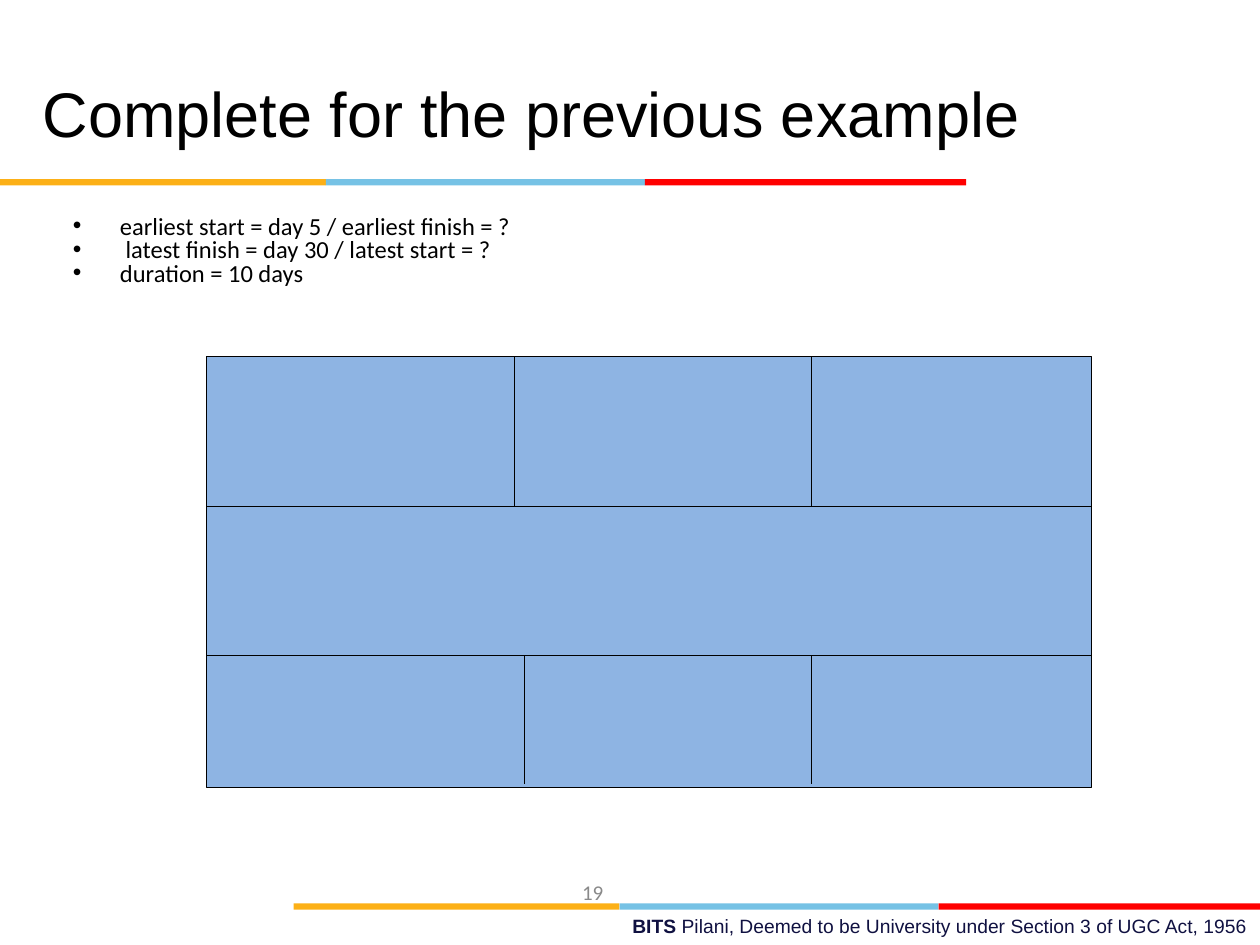
from dataclasses import dataclass

from lxml import etree
from pptx import Presentation, util as u
from pptx.dml.color import RGBColor
from pptx.enum import shapes, text
from pptx.oxml import ns


@dataclass(frozen=True)
class Theme:
    black: str = "000000"
    navy: str = "101141"
    grey: str = "898989"
    box_blue: str = "8EB4E3"
    stripe: tuple = ("FCB017", "76C2E5", "FF0000")
    heading_font: str = "Arial"
    body_font: str = "Calibri"
    title_size: int = 36
    body_size: int = 14
    number_size: int = 12
    footer_size: int = 11


THEME = Theme()


def add_text_box(slide, box, **frame_format):
    frame = slide.shapes.add_textbox(*map(u.Cm, box)).text_frame
    for name, value in {"word_wrap": True, **frame_format}.items():
        setattr(frame, name, value)
    return frame


def add_run(paragraph, words, color, **font_format):
    run = paragraph.add_run()
    run.text = words
    run.font.color.rgb = RGBColor.from_string(color)
    for name, value in font_format.items():
        setattr(run.font, name, value)


def add_rectangle(slide, box, color):
    shape = slide.shapes.add_shape(shapes.MSO_SHAPE.RECTANGLE, *map(u.Cm, box))
    shape.shadow.inherit = False
    shape.fill.solid()
    shape.fill.fore_color.rgb = RGBColor.from_string(color)
    shape.line.fill.background()
    return shape


def format_line(line):
    line.color.rgb = RGBColor.from_string(THEME.black)
    line.width = u.Pt(0.75)


def add_line(slide, start, end):
    connector = slide.shapes.add_connector(
        shapes.MSO_CONNECTOR.STRAIGHT, *map(u.Cm, start + end))
    format_line(connector.line)
    etree.SubElement(connector._element.spPr, ns.qn("a:effectLst"))


def add_bullet(paragraph):
    properties = paragraph._p.get_or_add_pPr()
    indent = u.Cm(0.95)
    properties.set("marL", str(indent))
    properties.set("indent", str(-indent))
    color = etree.SubElement(properties, ns.qn("a:buClr"))
    etree.SubElement(color, ns.qn("a:srgbClr"), val=THEME.black)
    etree.SubElement(properties, ns.qn("a:buFont"), typeface="Arial")
    etree.SubElement(properties, ns.qn("a:buChar"), char="•")


def add_stripe(slide, left, top):
    """Three coloured bars, end to end."""
    for color, width in zip(THEME.stripe, (6.57, 6.43, 6.48)):
        add_rectangle(slide, (left, top, width, 0.13), color)
        left += width


def add_title(slide, box):
    paragraph = add_text_box(slide, box).paragraphs[0]
    add_run(paragraph, "Complete for the previous example", THEME.black,
            name=THEME.heading_font, size=u.Pt(THEME.title_size))


def add_bullets(slide, box, items):
    frame = add_text_box(slide, box)
    for index, item in enumerate(items):
        paragraph = frame.add_paragraph() if index else frame.paragraphs[0]
        paragraph.line_spacing = 0.8
        add_bullet(paragraph)
        add_run(paragraph, item, THEME.black,
                name=THEME.body_font, size=u.Pt(THEME.body_size))


def add_activity_box(slide, box):
    """Activity node: three cells, one wide cell, three cells."""
    left, top, width, height = box
    format_line(add_rectangle(slide, box, THEME.box_blue).line)
    upper, lower, foot = top + 3.02, top + 6.02, top + height - 0.08
    for y in (upper, lower):
        add_line(slide, (left, y), (left + width, y))
    for start, end, offsets in ((top, upper, (6.2, 12.19)),
                                (lower, foot, (6.4, 12.19))):
        for offset in offsets:
            add_line(slide, (left + offset, start), (left + offset, end))


def add_footer(slide, box):
    paragraph = add_text_box(slide, box).paragraphs[0]
    paragraph.alignment = text.PP_ALIGN.RIGHT
    for words, bold in (
            ("BITS ", True),
            ("Pilani, Deemed to be University under Section 3 of UGC Act, 1956", False)):
        add_run(paragraph, words, THEME.navy, bold=bold,
                name=THEME.heading_font, size=u.Pt(THEME.footer_size))


def add_page_number(slide, box):
    frame = add_text_box(slide, box, vertical_anchor=text.MSO_ANCHOR.MIDDLE)
    paragraph = frame.paragraphs[0]
    paragraph.alignment = text.PP_ALIGN.CENTER
    add_run(paragraph, "19", THEME.grey,
            name=THEME.body_font, size=u.Pt(THEME.number_size))


def main():
    presentation = Presentation()
    presentation.slide_width, presentation.slide_height = u.Cm(25.4), u.Cm(19.05)
    slide = presentation.slides.add_slide(presentation.slide_layouts[6])

    # Footer and stripes
    add_footer(slide, (9.09, 18.31, 16.31, 0.74))
    add_stripe(slide, 5.92, 18.21)
    add_stripe(slide, 0, 3.61)
    add_page_number(slide, (6.55, 17.63, 10.8, 0.71))

    # Content
    add_activity_box(slide, (4.17, 7.19, 17.83, 8.69))
    add_title(slide, (0.61, 1.37, 21, 1.78))
    add_bullets(slide, (1.22, 4.24, 22.68, 2.29), (
        "earliest start = day 5 / earliest finish = ?",
        " latest finish = day 30 / latest start = ?",
        "duration = 10 days",
    ))
    presentation.save("out.pptx")


if __name__ == "__main__":
    main()
